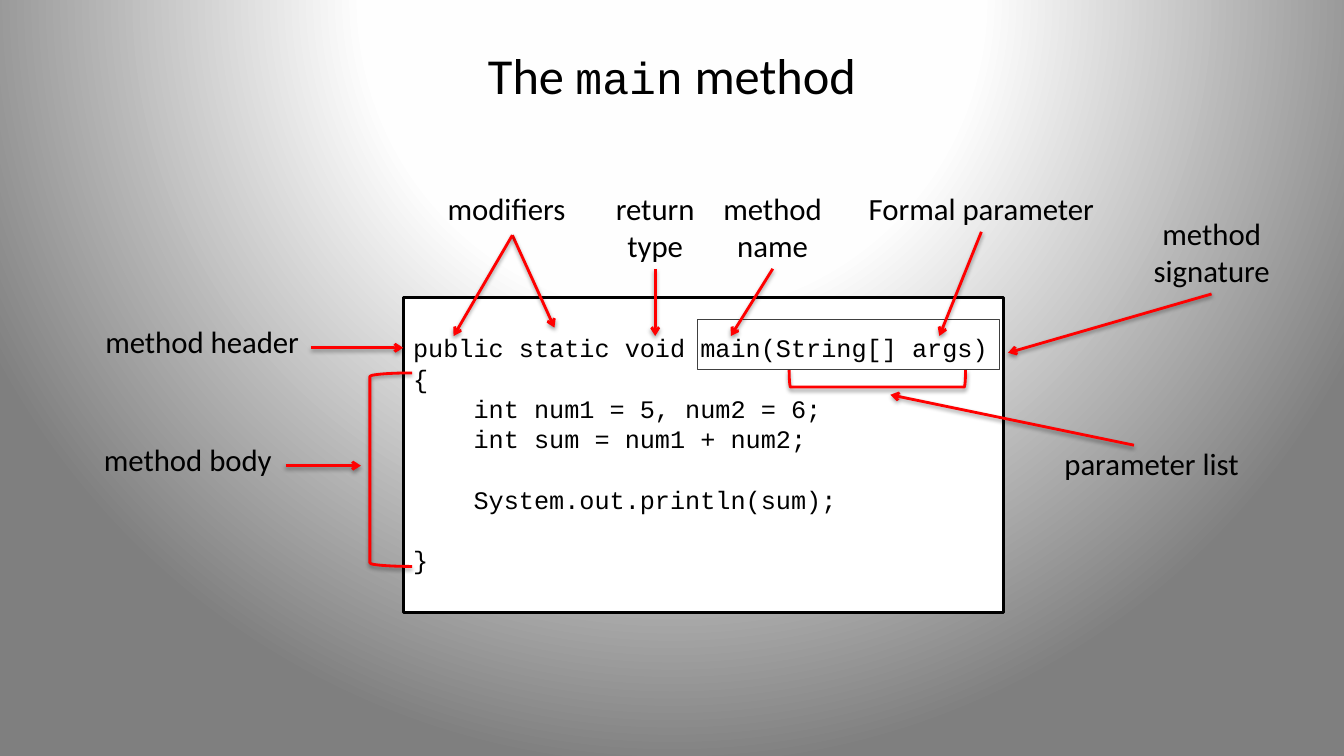
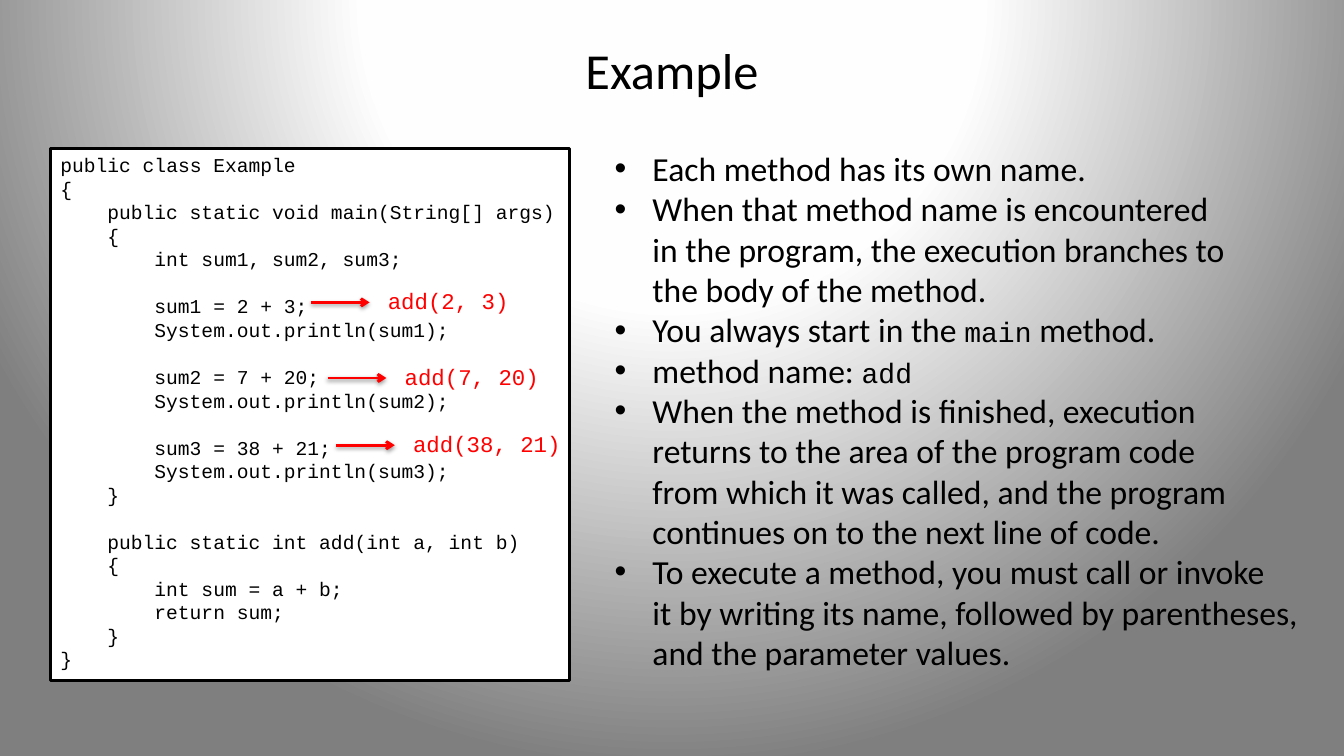
from pptx import Presentation
from pptx.dml.color import RGBColor
from pptx.enum.shapes import MSO_CONNECTOR, MSO_SHAPE
from pptx.enum.text import MSO_ANCHOR, PP_ALIGN
from pptx.oxml import parse_xml
from pptx.oxml.ns import nsdecls
from pptx.util import Pt

BLACK = RGBColor(0, 0, 0)
WHITE = RGBColor(255, 255, 255)
RED = RGBColor(255, 0, 0)
GREY = RGBColor(64, 64, 64)
SANS, MONO = "Calibri", "Courier New"
PAD = 7.2     # side margin of a text box
LINE = 1.2    # line height per point of type
CHAR = 0.6    # width of a code character per point of type

# Code rows: indent level, text; an empty row is a gap
MAIN_CODE = [
    (0, ""),
    (0, "public static void main(String[] args)"),
    (0, "{"),
    (1, "int num1 = 5, num2 = 6;"),
    (1, "int sum = num1 + num2;"),
    (0, ""),
    (1, "System.out.println(sum);"),
    (0, ""),
    (0, "}"),
]
CLASS_CODE = [
    (0, "public class Example"),
    (0, "{"),
    (1, "public static void main(String[] args)"),
    (1, "{"),
    (2, "int sum1, sum2, sum3;"),
    (0, ""),
    (2, "sum1 = 2 + 3;"),
    (2, "System.out.println(sum1);"),
    (0, ""),
    (2, "sum2 = 7 + 20;"),
    (2, "System.out.println(sum2);"),
    (0, ""),
    (2, "sum3 = 38 + 21;"),
    (2, "System.out.println(sum3);"),
    (1, "}"),
    (0, ""),
    (1, "public static int add(int a, int b)"),
    (1, "{"),
    (2, "int sum = a + b;"),
    (2, "return sum;"),
    (1, "}"),
    (0, "}"),
]
# Text, left, top, width
LABELS = [
    ("method header", 67, 226.8, 154.8),
    ("method body", 66.2, 311, 136),
    ("modifiers", 311.8, 132, 100),
    ("return\ntype", 432, 131.8, 72),
    ("method\nname", 509, 131.8, 85.7),
    ("Formal parameter", 611.3, 131.8, 179.3),
    ("parameter list", 751.7, 314, 141.8),
    ("method\nsignature", 815.8, 149.8, 99.4),
]
# From x, y to x, y
ARROWS = [
    (222, 248.4, 288, 248.4),
    (204, 332.6, 257.8, 332.6),
    (366, 168, 396, 234),
    (366, 168, 324, 240),
    (468, 192, 468, 240),
    (552, 192, 522, 240),
    (701, 165.6, 671, 240),
    (810, 318, 636, 282),
    (865.4, 210, 720, 252),
]
# Left, top, width, height, turn
BRACES = [
    (264.2, 266.4, 30.2, 138.2, 0),
    (620.6, 207.4, 12.2, 126, 270),
]
# Call, arrow left, arrow height
CALLS = [
    ("add(2, 3)", 222, 216),
    ("add(7, 20)", 234, 270),
    ("add(38, 21)", 240, 318),
]
# Backticks mark code
POINTS = [
    "Each method has its own name.",
    "When that method name is encountered\n"
    "in the program, the execution branches to\nthe body of the method.",
    "You always start in the `main` method.",
    "method name: `add`",
    "When the method is finished, execution\n"
    "returns to the area of the program code\n"
    "from which it was called, and the program\n"
    "continues on to the next line of code.",
    "To execute a method, you must call or invoke\n"
    "it by writing its name, followed by parentheses,\n"
    "and the parameter values.",
]


def write(para, text, size=22, font=SANS, color=BLACK, align=PP_ALIGN.LEFT):
    """Fill a paragraph; parts in backticks become smaller code."""
    para.alignment = align
    for i, part in enumerate(text.split("`")):
        for j, row in enumerate(part.split("\n")):
            if j:
                para.add_line_break()
            if row:
                run = para.add_run()
                run.text = row
                run.font.name = MONO if i % 2 else font
                run.font.size = Pt(size - 4 if i % 2 else size)
                run.font.color.rgb = color


def place(shapes, x, y, w, h, wrap=False):
    """Add a text box and return its frame."""
    frame = shapes.add_textbox(Pt(x), Pt(y), Pt(w), Pt(h)).text_frame
    frame.word_wrap = wrap
    return frame


def outline(shapes, kind, x, y, w, h, color, width=2):
    """Add an unfilled shape with a plain outline."""
    shape = shapes.add_shape(kind, Pt(x), Pt(y), Pt(w), Pt(h))
    shape.shadow.inherit = False
    shape.fill.background()
    shape.line.color.rgb = color
    shape.line.width = Pt(width)
    return shape


def shade(shape):
    """Give a shape or connector a soft shadow below it."""
    props = shape.element.spPr
    for old in props.xpath("a:effectLst"):
        props.remove(old)
    props.append(parse_xml(
        f'<a:effectLst {nsdecls("a")}><a:outerShdw blurRad="{Pt(3.1)}" '
        f'dist="{Pt(1.6)}" dir="5400000" rotWithShape="0">'
        '<a:srgbClr val="000000"><a:alpha val="38000"/></a:srgbClr>'
        '</a:outerShdw></a:effectLst>'))


def arrow(shapes, *ends):
    """Draw a red arrow between two points."""
    link = shapes.add_connector(MSO_CONNECTOR.STRAIGHT, *map(Pt, ends))
    link.line.color.rgb = RED
    link.line.width = Pt(2)
    link.line._get_or_add_ln().append(
        parse_xml(f'<a:tailEnd {nsdecls("a")} type="arrow"/>'))
    shade(link)


def listing(shapes, rows, x, y, w, h, size):
    """Draw a white box of code, indented by level."""
    box = outline(shapes, MSO_SHAPE.RECTANGLE, x, y, w, h, BLACK)
    box.fill.solid()
    box.fill.fore_color.rgb = WHITE
    frame = box.text_frame
    frame.word_wrap = True
    frame.vertical_anchor = MSO_ANCHOR.TOP
    para, gap = None, 0
    for level, text in rows:
        if not text:
            gap += size * LINE
            continue
        if para is None:
            para = frame.paragraphs[0]
            frame.margin_top = Pt(PAD / 2 + gap)
        else:
            para = frame.add_paragraph()
            para.space_before = Pt(gap)
        gap = 0
        write(para, text, size=size, font=MONO)
        para._p.get_or_add_pPr().set("marL", str(Pt(level * 4 * CHAR * size)))


def bullets(shapes, items, x, y, w, h, size):
    """Write a bulleted list."""
    frame = place(shapes, x, y, w, h, wrap=True)
    for i, item in enumerate(items):
        para = frame.add_paragraph() if i else frame.paragraphs[0]
        write(para, item, size=size)
        props = para._p.get_or_add_pPr()
        props.set("marL", str(Pt(27)))
        props.set("indent", str(Pt(-27)))
        props.append(parse_xml(
            f'<a:buFont {nsdecls("a")} typeface="Arial"/>'))
        props.append(parse_xml(f'<a:buChar {nsdecls("a")} char="•"/>'))


def backdrop(master):
    """Set the radial grey background for all slides."""
    master.background.fill.solid()
    props = master.element.xpath("p:cSld/p:bg/p:bgPr")[0]
    stops = "".join(
        f'<a:gs pos="{pos}000"><a:srgbClr val="{tone}"/></a:gs>'
        for pos, tone in [(0, "FFFFFF"), (40, "FEFEFE"), (100, "7F7F7F")])
    props.replace(props[0], parse_xml(
        f'<a:gradFill {nsdecls("a")} rotWithShape="1"><a:gsLst>{stops}'
        '</a:gsLst><a:path path="circle"><a:fillToRect l="50000" t="-80000" '
        'r="50000" b="180000"/></a:path></a:gradFill>'))


def start(deck, title, top):
    """Add a titled slide and return its shapes."""
    shapes = deck.slides.add_slide(deck.slide_layouts[5]).shapes
    head = shapes.title
    head.left, head.top, head.width, head.height = map(
        Pt, (48, top, 864, 62.6))
    head.text_frame.vertical_anchor = MSO_ANCHOR.MIDDLE
    write(head.text_frame.paragraphs[0], title, size=36,
          align=PP_ALIGN.CENTER)
    return shapes


def anatomy(deck):
    """Build the slide that names the parts of main."""
    shapes = start(deck, "The `main` method", 21.6)
    listing(shapes, MAIN_CODE, 288, 212.4, 429, 225.4, 18)
    outline(shapes, MSO_SHAPE.RECTANGLE, 498.2, 228.2, 216, 36, GREY, 0.75)
    for *area, turn in BRACES:
        brace = outline(shapes, MSO_SHAPE.LEFT_BRACKET, *area, RED)
        brace.rotation = turn
        shade(brace)
    for text, x, y, w in LABELS:
        tall = (text.count("\n") + 1) * 22 * LINE + PAD
        write(place(shapes, x, y, w, tall).paragraphs[0], text,
              align=PP_ALIGN.CENTER)
    for ends in ARROWS:
        arrow(shapes, *ends)


def example(deck):
    """Build the slide with a class and its method calls."""
    shapes = start(deck, "Example", 18)
    listing(shapes, CLASS_CODE, 36, 105.8, 370.8, 380.2, 14)
    for text, x, y in CALLS:
        arrow(shapes, x, y, x + 42, y)
        wide = len(text) * 16 * CHAR + 2 * PAD
        frame = place(shapes, x + 48, y - 14.4, wide, 26.6)
        write(frame.paragraphs[0], text, size=16, font=MONO, color=RED)
    bullets(shapes, POINTS, 432, 102.2, 509, 385.2, 24)


deck = Presentation()
deck.slide_width, deck.slide_height = Pt(960), Pt(540)
backdrop(deck.slide_master)
anatomy(deck)
example(deck)
deck.save("out.pptx")
